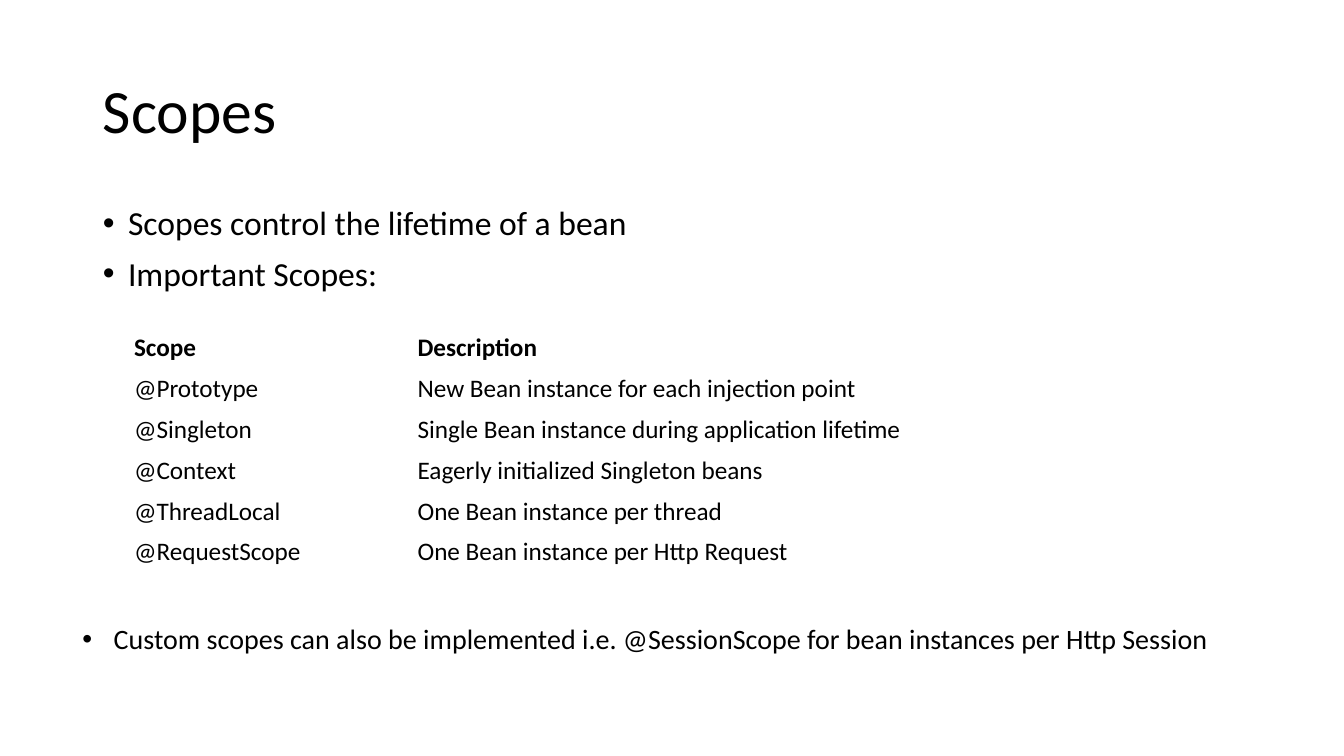
from dataclasses import dataclass, field

from lxml import etree
from pptx import Presentation, util as u
from pptx.dml.color import RGBColor
from pptx.enum import text as t
from pptx.oxml import ns

BLACK = RGBColor(0, 0, 0)
WHITE = RGBColor(255, 255, 255)
FACE = "Calibri"
WIDE, HIGH = u.Inches(13.33), u.Inches(7.5)
SPAN = 86.25

ROWS = [
    ("Scope", "Description"),
    ("@Prototype", "New Bean instance for each injection point"),
    ("@Singleton", "Single Bean instance during application lifetime"),
    ("@Context", "Eagerly initialized Singleton beans"),
    ("@ThreadLocal", "One Bean instance per thread"),
    ("@RequestScope", "One Bean instance per Http Request"),
]
SHARES = (21.1, SPAN - 21.1)


@dataclass(frozen=True)
class Box:
    """A frame in percent of the slide's width and height."""
    left: float
    top: float
    width: float
    height: float

    def frame(self) -> dict:
        return {"left": across(self.left), "top": down(self.top),
                "width": across(self.width), "height": down(self.height)}


@dataclass(frozen=True)
class Block:
    box: Box
    lines: tuple
    size: int
    indent: float = 0
    para: dict = field(default_factory=dict)
    body: dict = field(default_factory=dict)


TIGHT = {"line_spacing": 0.9, "alignment": t.PP_ALIGN.LEFT}
TITLE = Block(Box(6.9, 5.33, SPAN, 19.33), ("Scopes",), 44, para=TIGHT,
              body={"vertical_anchor": t.MSO_ANCHOR.MIDDLE})
POINTS = Block(Box(6.9, 26.67, SPAN, 14.8),
               ("Scopes control the lifetime of a bean", "Important Scopes:"),
               24, 0.25, TIGHT | {"space_before": u.Pt(10)})
NOTE = Block(Box(5.4, 81.6, SPAN, 5.83),
             ("Custom scopes can also be implemented i.e. @SessionScope "
              "for bean instances per Http Session",), 20, 0.31)
GRID = Box(9.22, 43.33, SPAN, 32.4)


def across(part: float) -> int:
    return round(WIDE * part / 100)


def down(part: float) -> int:
    return round(HIGH * part / 100)


def apply(item, values: dict) -> None:
    for name, value in values.items():
        setattr(item, name, value)


def style(para, size: int, bold: bool = False) -> None:
    for run in para.runs:
        apply(run.font, {"name": FACE, "size": u.Pt(size), "bold": bold})
        run.font.color.rgb = BLACK


def bullet(para, indent: float) -> None:
    """Hang the paragraph behind a round bullet, indent in inches."""
    props = para._p.get_or_add_pPr()
    props.set("marL", str(u.Inches(indent)))
    props.set("indent", str(-u.Inches(indent)))
    etree.SubElement(props, ns.qn("a:buFont")).set("typeface", "Arial")
    etree.SubElement(props, ns.qn("a:buChar")).set("char", "•")


def write(shape, block: Block) -> None:
    apply(shape, block.box.frame())
    frame = shape.text_frame
    apply(frame, {"word_wrap": True, "auto_size": t.MSO_AUTO_SIZE.NONE}
          | block.body)
    frame.text = "\n".join(block.lines)
    for para in frame.paragraphs:
        apply(para, block.para)
        style(para, block.size)
        if block.indent:
            bullet(para, block.indent)


def tabulate(slide, box: Box) -> None:
    table = slide.shapes.add_table(len(ROWS), len(SHARES),
                                   **box.frame()).table
    apply(table, {"first_row": False, "horz_banding": False})
    for col, share in zip(table.columns, SHARES):
        col.width = across(share)
    for r, row in enumerate(ROWS):
        for c, words in enumerate(row):
            cell = table.cell(r, c)
            cell.text = words
            cell.fill.solid()
            cell.fill.fore_color.rgb = WHITE
            style(cell.text_frame.paragraphs[0], 18, bold=r == 0)


def main() -> None:
    deck = Presentation()
    apply(deck, {"slide_width": WIDE, "slide_height": HIGH})
    slide = deck.slides.add_slide(deck.slide_layouts[1])
    write(slide.shapes.title, TITLE)
    write(slide.placeholders[1], POINTS)
    tabulate(slide, GRID)
    write(slide.shapes.add_textbox(**NOTE.box.frame()), NOTE)
    deck.save("out.pptx")


if __name__ == "__main__":
    main()
